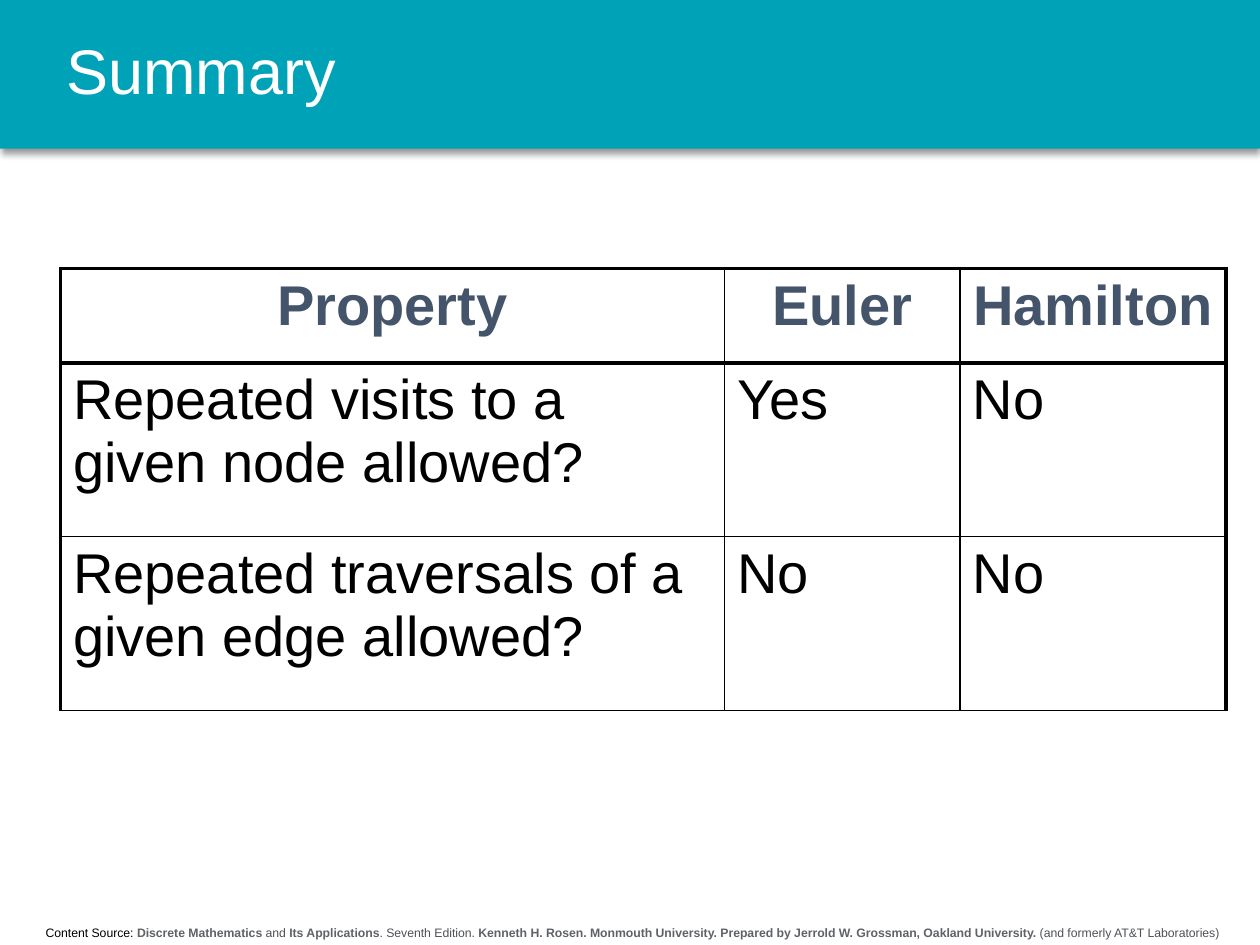
import pptx
import pptx.util
import pptx.dml.color
import pptx.enum.shapes
import pptx.enum.text
import pptx.oxml
import pptx.oxml.ns
from pptx.util import Inches, Pt

COLORS = {"teal": "00A2B8", "white": "FFFFFF", "black": "000000",
          "slate": "44546A", "gray": "5F6368", "dark": "4D5156"}
FONT = "Arial"
TITLE = "Summary"
ROWS = [
    ("Property", "Euler", "Hamilton"),
    ("Repeated visits to a given node allowed?", "Yes", "No"),
    ("Repeated traversals of a given edge allowed?", "No", "No"),
]
WIDTHS = [5.27, 1.87, 2.11]
HEIGHTS = [0.75, 1.38, 1.38]
THICK, THIN = 2.25, 1
SOURCE = [  # text, color, bold
    ("Content Source: ", "black", False),
    ("Discrete Mathematics", "gray", True),
    (" and ", "dark", False),
    ("Its Applications", "gray", True),
    (". Seventh Edition. ", "dark", False),
    ("Kenneth H. Rosen. Monmouth University. Prepared by "
     "Jerrold W. Grossman, Oakland University.", "gray", True),
    (" (and formerly AT&T Laboratories)", "dark", False),
]
ALIGN = pptx.enum.text.PP_ALIGN
ANCHOR = pptx.enum.text.MSO_ANCHOR
NS = pptx.oxml.ns.nsdecls("a")


def rgb(name):
    return pptx.dml.color.RGBColor.from_string(COLORS[name])


def style(font, size, color, bold=False):
    font.name, font.size, font.bold = FONT, Pt(size), bold
    font.color.rgb = rgb(color)


def add_text(slide, left, top, width, height):
    box = slide.shapes.add_textbox(*map(Inches, (left, top, width, height)))
    box.text_frame.word_wrap = True
    return box.text_frame


def add_banner(slide):
    bar = slide.shapes.add_shape(pptx.enum.shapes.MSO_SHAPE.RECTANGLE,
                                 0, 0, Inches(10), Inches(1.18))
    bar.fill.solid()
    bar.fill.fore_color.rgb = rgb("teal")
    bar.line.fill.background()
    bar._element.spPr.append(pptx.oxml.parse_xml(
        f'<a:effectLst {NS}><a:outerShdw blurRad="{Pt(4)}" dist="{Pt(3)}" '
        f'dir="5400000" algn="t" rotWithShape="0">'
        f'<a:srgbClr val="{COLORS["black"]}"><a:alpha val="40000"/></a:srgbClr>'
        f'</a:outerShdw></a:effectLst>'))


def add_title(slide):
    frame = add_text(slide, 0.43, 0, 9.3, 1.18)
    frame.vertical_anchor = ANCHOR.MIDDLE
    para = frame.paragraphs[0]
    para.text = TITLE
    para.line_spacing = 0.9
    style(para.font, 36, "white")


def add_source(slide):
    para = add_text(slide, 0.04, 7.29, 9.96, 0.22).paragraphs[0]
    para.alignment = ALIGN.CENTER
    for text, color, bold in SOURCE:
        run = para.add_run()
        run.text = text
        style(run.font, 7, color, bold)


def set_borders(cell, sides):
    props = cell._tc.get_or_add_tcPr()
    for side, width in sides.items():
        props.append(pptx.oxml.parse_xml(
            f'<a:ln{side} {NS} w="{Pt(width)}"><a:solidFill>'
            f'<a:srgbClr val="{COLORS["black"]}"/></a:solidFill></a:ln{side}>'))


def add_grid(slide):
    frame = slide.shapes.add_table(
        len(ROWS), len(WIDTHS), Inches(0.48), Inches(2.13),
        Inches(sum(WIDTHS)), Inches(sum(HEIGHTS)))
    table = frame.table
    table.first_row = table.horz_banding = False
    for col, width in zip(table.columns, WIDTHS):
        col.width = Inches(width)
    for r, row in enumerate(ROWS):
        table.rows[r].height = Inches(HEIGHTS[r])
        head = r == 0
        for c, text in enumerate(row):
            cell = table.cell(r, c)
            set_borders(cell, {
                "L": THICK if c == 0 else THIN,
                "R": THICK if c == len(row) - 1 else THIN,
                "T": THICK if r < 2 else THIN,
                "B": THICK if head else THIN})
            cell.fill.background()
            para = cell.text_frame.paragraphs[0]
            para.text = text
            para.alignment = ALIGN.CENTER if head else ALIGN.LEFT
            style(para.font, 32, "slate" if head else "black", head)


def main():
    deck = pptx.Presentation()
    deck.slide_width, deck.slide_height = Inches(10), Inches(7.5)
    slide = deck.slides.add_slide(deck.slide_layouts[6])
    add_banner(slide)
    add_source(slide)
    add_title(slide)
    add_grid(slide)
    deck.save("out.pptx")


if __name__ == "__main__":
    main()
